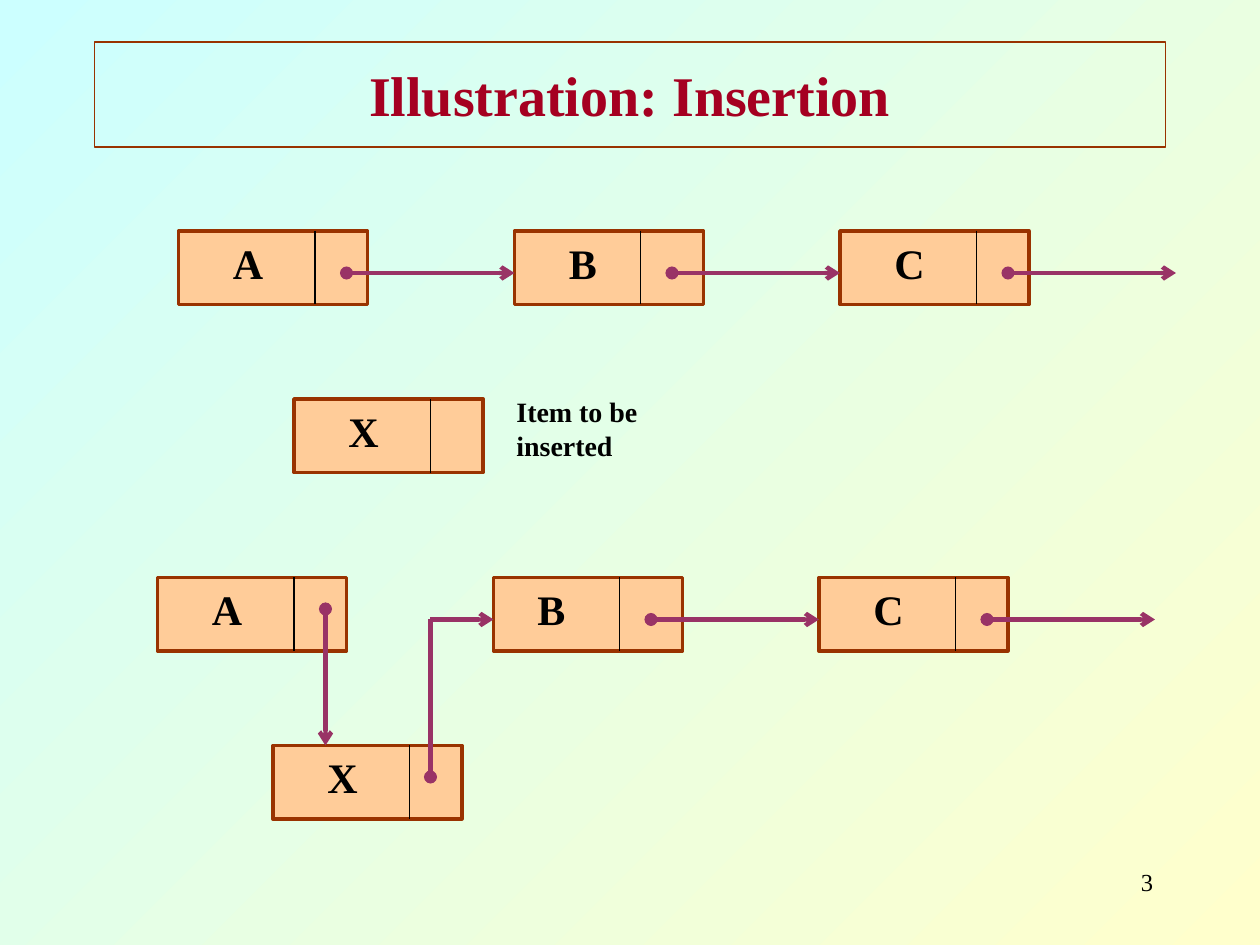
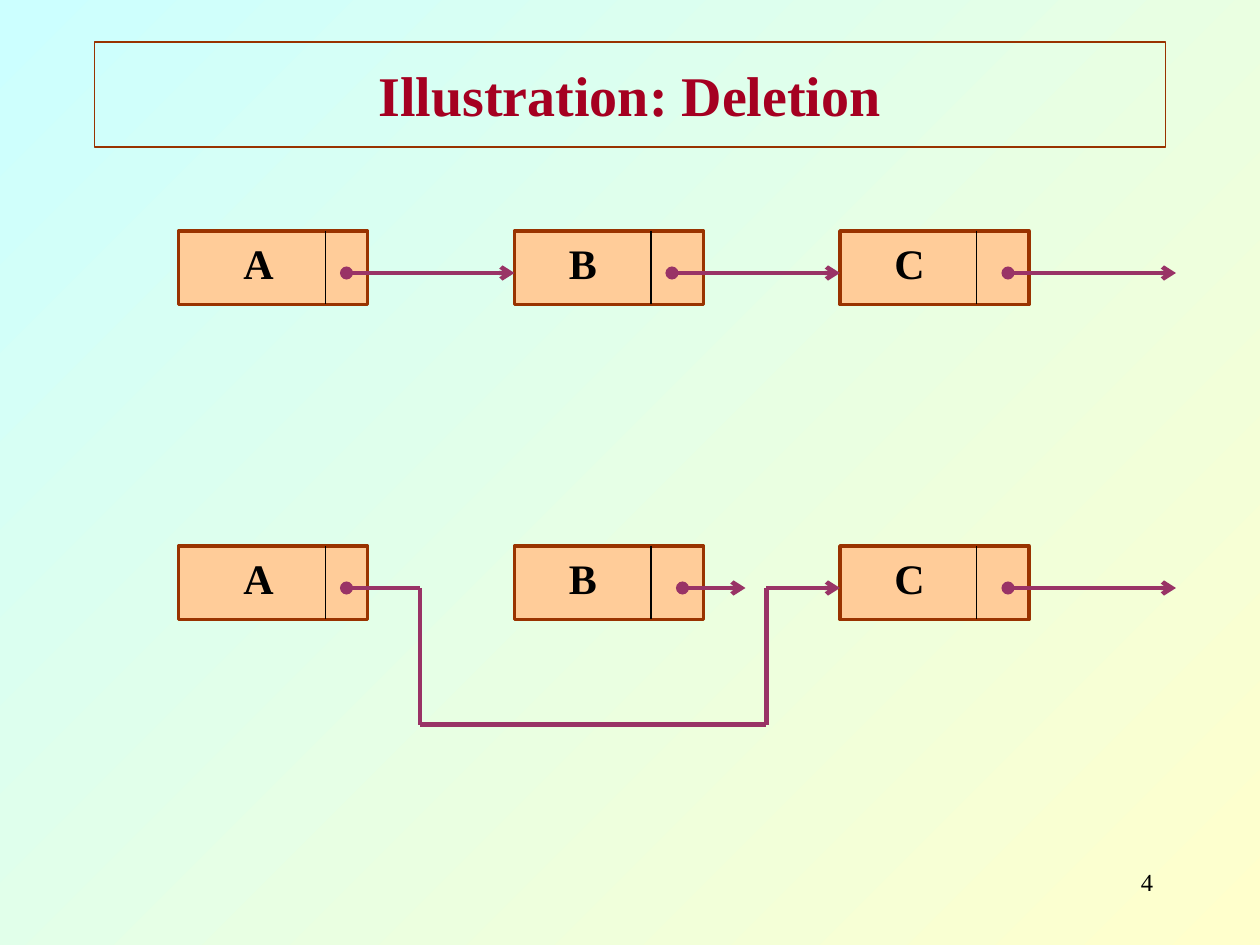
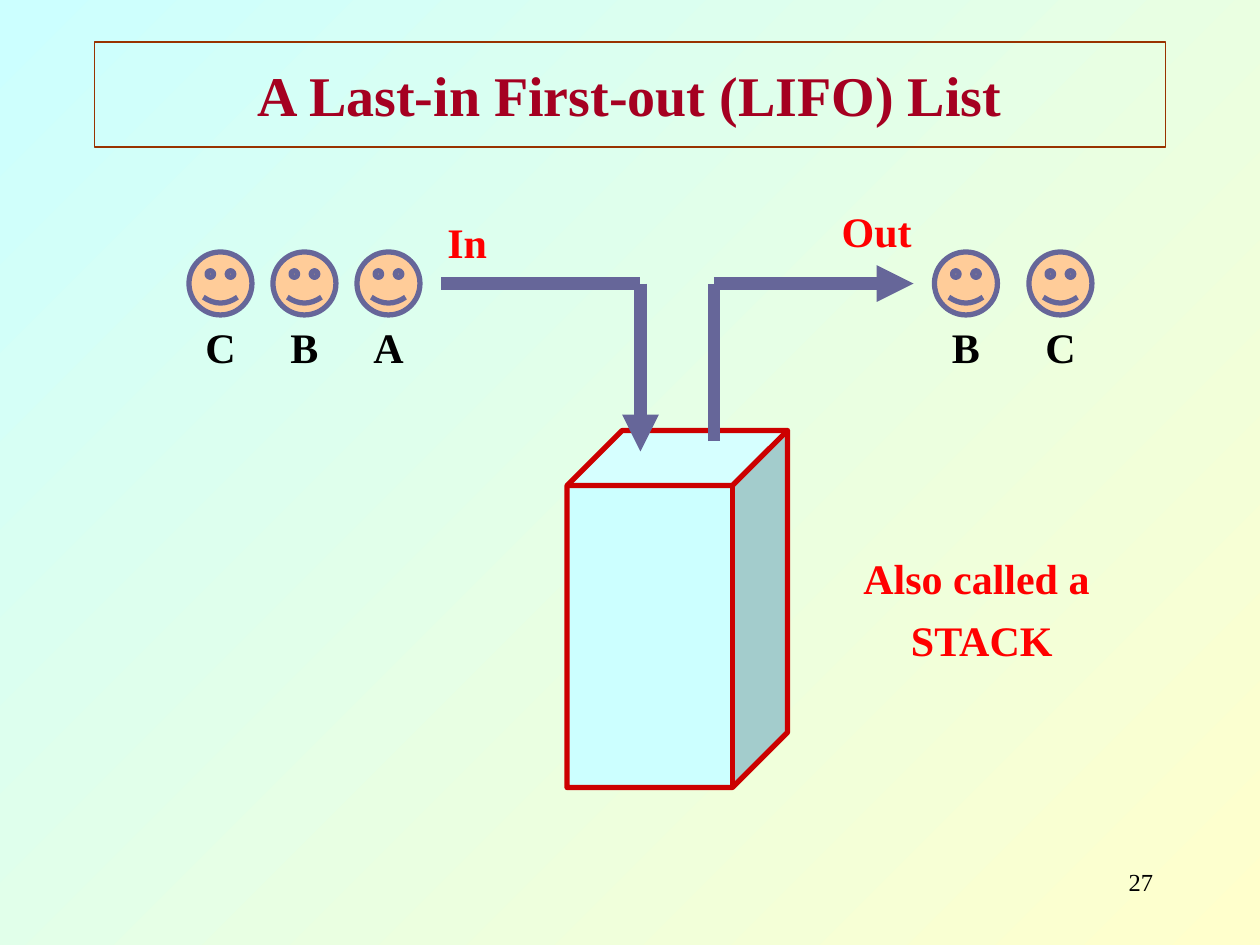
from dataclasses import dataclass
from itertools import pairwise

from lxml.etree import SubElement
from pptx import Presentation
from pptx.dml.color import RGBColor
from pptx.enum.shapes import MSO_CONNECTOR as Connector, MSO_SHAPE as Preset
from pptx.enum.text import MSO_ANCHOR as Anchor, PP_ALIGN as Align
from pptx.oxml.ns import qn
from pptx.util import Pt


@dataclass(frozen=True)
class Theme:
    font: str = "Times New Roman"
    title_size: int = 32
    label_size: int = 24
    note_size: int = 16
    number_size: int = 14
    title: str = "A50021"
    ink: str = "000000"
    accent: str = "FF0000"
    border: str = "993300"
    node: str = "FFCC99"
    link: str = "993366"
    flow: str = "666699"
    stack: str = "CCFFFF"
    stack_edge: str = "CC0000"
    background: tuple = ("FFFFCC", "CCFFFF")


THEME = Theme()


@dataclass(frozen=True)
class Cell:
    """A list node; all offsets are measured from the node's left edge."""
    name: str
    left: int = 0       # from the left of its row
    divider: int = 78
    label: int = 24
    port: int = 96      # where the outgoing link starts


NODE_WIDTH, NODE_HEIGHT = 108, 42
LINK_LENGTH, LINK_DROP = 96, 24
B_LEFT, C_LEFT = 192, 378


def color(value):
    return RGBColor.from_string(value)


# Basic parts

def write(shape, lines, size, ink, bold=True, align=Align.LEFT, gap=0):
    frame = shape.text_frame
    frame.word_wrap = True
    for index, line in enumerate(lines):
        paragraph = frame.add_paragraph() if index else frame.paragraphs[0]
        paragraph.alignment = align
        if index:
            paragraph.space_before = Pt(gap)
        run = paragraph.add_run()
        run.text = line
        run.font.name = THEME.font
        run.font.size = Pt(size)
        run.font.bold = bold
        run.font.color.rgb = color(ink)


def add_text(slide, box, lines, size=THEME.label_size, ink=THEME.ink, **style):
    shape = slide.shapes.add_textbox(*map(Pt, box))
    write(shape, lines, size, ink, **style)


def add_shape(slide, preset, box, fill, line, width):
    shape = slide.shapes.add_shape(preset, *map(Pt, box))
    shape.shadow.inherit = False
    if fill:
        shape.fill.solid()
        shape.fill.fore_color.rgb = color(fill)
    else:
        shape.fill.background()
    shape.line.color.rgb = color(line)
    shape.line.width = Pt(width)
    return shape


def add_route(slide, points, line=THEME.link, width=2.5, head=None, tail=None):
    """Draw straight segments through the points, with optional end marks."""
    segments = list(pairwise(points))
    for index, (start, end) in enumerate(segments):
        connector = slide.shapes.add_connector(
            Connector.STRAIGHT, *map(Pt, (*start, *end)))
        connector.line.color.rgb = color(line)
        connector.line.width = Pt(width)
        properties = connector._element.spPr
        outline = properties.find(qn("a:ln"))
        if head and index == 0:
            SubElement(outline, qn("a:headEnd"), type=head)
        if tail and index == len(segments) - 1:
            SubElement(outline, qn("a:tailEnd"), type=tail)
        SubElement(properties, qn("a:effectLst"))


def add_link(slide, *points):
    add_route(slide, points, head="oval", tail="arrow")


# Shared slide frame

def set_background(master):
    fill = master.background.fill
    fill.gradient()
    fill.gradient_angle = 135
    for stop, value in zip(fill.gradient_stops, THEME.background):
        stop.color.rgb = color(value)


def add_slide(presentation, title, number):
    slide = presentation.slides.add_slide(presentation.slide_layouts[6])
    banner = add_shape(slide, Preset.RECTANGLE, (54, 24, 612, 60),
                       None, THEME.border, 0.75)
    banner.text_frame.vertical_anchor = Anchor.MIDDLE
    write(banner, [title], THEME.title_size, THEME.title, align=Align.CENTER)
    add_text(slide, (516, 492, 150, 36), [number], THEME.number_size,
             bold=False, align=Align.RIGHT)
    return slide


# Linked lists

def add_node(slide, left, top, cell):
    add_shape(slide, Preset.RECTANGLE, (left, top, NODE_WIDTH, NODE_HEIGHT),
              THEME.node, THEME.border, 2)
    divider = left + cell.divider
    add_route(slide, [(divider, top), (divider, top + NODE_HEIGHT)],
              THEME.ink, 0.75)
    add_text(slide, (left + cell.label, top, 48, 36), [cell.name])


def add_row(slide, left, top, cells, linked):
    """Draw the nodes, then a link out of each one named in linked."""
    for cell in cells:
        add_node(slide, left + cell.left, top, cell)
    for cell in cells:
        if cell.name in linked:
            start, level = left + cell.left + cell.port, top + LINK_DROP
            add_link(slide, (start, level), (start + LINK_LENGTH, level))


def build_insertion(presentation):
    slide = add_slide(presentation, "Illustration: Insertion", "3")
    cell_a, cell_c, cell_x = Cell("A"), Cell("C", C_LEFT), Cell("X")

    # Before: the list and the new item
    before_b = Cell("B", B_LEFT, divider=72, port=90)
    add_row(slide, 102, 132, (cell_a, before_b, cell_c), "ABC")
    add_node(slide, 168, 228, cell_x)
    add_text(slide, (288, 222, 132, 46), ["Item to be inserted"],
             THEME.note_size)

    # After: A leads to X, and X leads to B
    left, top = 90, 330
    after_b = Cell("B", B_LEFT, divider=72, label=18, port=90)
    add_row(slide, left, top, (cell_a, after_b, cell_c), "BC")
    x_left, x_top = left + 66, top + 96
    add_node(slide, x_left, x_top, cell_x)
    a_port, x_port, level = left + 96, x_left + 90, top + LINK_DROP
    add_link(slide, (a_port, top + 18), (a_port, x_top))
    add_link(slide, (x_port, x_top + 18), (x_port, level),
             (left + B_LEFT, level))


def build_deletion(presentation):
    slide = add_slide(presentation, "Illustration: Deletion", "4")
    cell_a, cell_c = Cell("A", divider=84, label=30), Cell("C", C_LEFT)
    cells = (cell_a, Cell("B", B_LEFT, port=90), cell_c)
    left = 102

    # Before
    add_row(slide, left, 132, cells, "ABC")

    # After: A bypasses B and leads to C
    top = 312
    add_row(slide, left, top, cells, "C")
    level, low = top + LINK_DROP, top + 102
    down, up = left + 138, left + 336
    add_link(slide, (left + cell_a.port, level), (down, level), (down, low),
             (up, low), (up, level), (left + C_LEFT, level))
    b_port = left + B_LEFT + 96
    add_link(slide, (b_port, level), (b_port + 36, level))


# Stack

def add_queue(slide, left, top, pitch, names):
    """Draw a line of faces with a letter centred under each."""
    size, overhang = 36, 6
    for index, name in enumerate(names):
        face_left = left + index * pitch
        add_shape(slide, Preset.SMILEY_FACE, (face_left, top, size, size),
                  THEME.node, THEME.flow, 3)
        add_text(slide, (face_left - overhang, top + size,
                         size + 2 * overhang, 36), [name], align=Align.CENTER)


def build_stack(presentation):
    slide = add_slide(presentation, "A Last-in First-out (LIFO) List", "27")
    left, top, level = 324, 246, 162

    # Container and the flows in and out
    add_shape(slide, Preset.CUBE, (left, top, 126, 204),
              THEME.stack, THEME.stack_edge, 3)
    entry, leaving, reach = left + 42, left + 84, 114
    for points, end in (
        ([(entry - reach, level), (entry, level), (entry, top + 12)],
         "triangle"),
        ([(leaving, top + 6), (leaving, level), (leaving + reach, level)],
         "triangle"),
    ):
        add_route(slide, points, THEME.flow, 7, tail=end)

    # Waiting and released items
    add_queue(slide, 108, 144, 48, "CBA")
    add_queue(slide, 534, 144, 54, "BC")

    # Captions
    for box, lines in (
        ((234, 120, 66, 36), ["In"]),
        ((468, 114, 66, 36), ["Out"]),
        ((462, 312, 198, 72), ["Also called a ", "STACK"]),
    ):
        add_text(slide, box, lines, ink=THEME.accent, align=Align.CENTER,
                 gap=7)


def main():
    presentation = Presentation()
    presentation.slide_width, presentation.slide_height = Pt(720), Pt(540)
    set_background(presentation.slide_master)
    for build in (build_insertion, build_deletion, build_stack):
        build(presentation)
    presentation.save("out.pptx")


if __name__ == "__main__":
    main()
